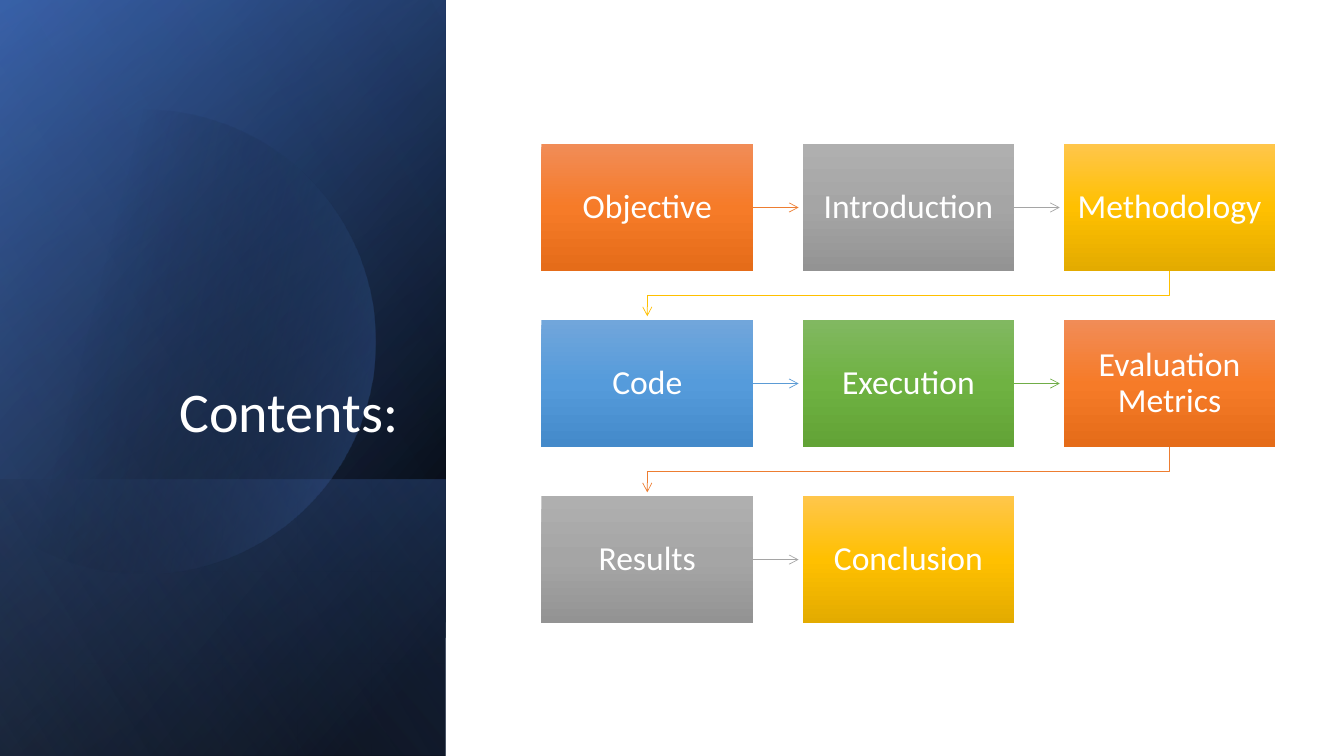
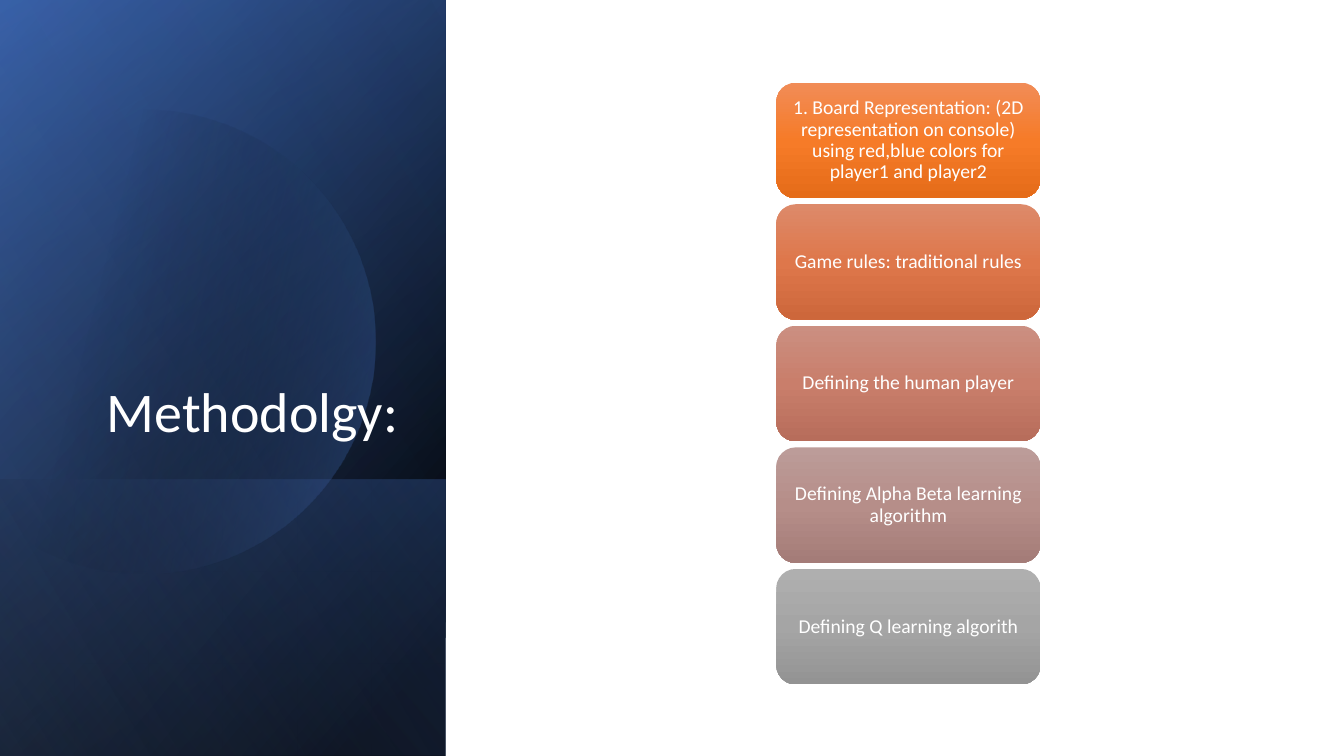
import math
from collections import namedtuple
from dataclasses import dataclass

from lxml import etree
from pptx import Presentation
from pptx import util as u
from pptx.dml.color import RGBColor
from pptx.enum import shapes, text
from pptx.oxml.ns import qn

Box = namedtuple("Box", "left top width height")
Tone = namedtuple("Tone", "top middle bottom line")


@dataclass(frozen=True)
class Theme:
    font: str = "Calibri"
    white: str = "FFFFFF"
    black: str = "000000"
    navy: str = "2F5597"
    blue: str = "4472C4"
    pale_blue: str = "8FAADC"
    title_size: int = 40
    step_size: int = 24
    stack_size: int = 14
    arrow_width: float = 0.5


THEME = Theme()
WIDTH, HEIGHT = 13.33, 7.5
SIDEBAR = Box(0, 0, 4.42, HEIGHT)
FLOW = Box(5.37, 1.43, 7.28, 4.75)
STACK = Box(7.7, 0.82, 2.62, 5.97)

ORANGE = Tone("F18C57", "F67B28", "E56C19", "ED7D31")
GRAY = Tone("AFAFAF", "A5A5A5", "939393", "A5A5A5")
GOLD = Tone("FFC64B", "FFC000", "E3AB00", "FFC000")
SKY = Tone("71A6DB", "559BDB", "448ACA", "5B9BD5")
GREEN = Tone("81B861", "6FB242", "62A336", "70AD47")
RUST = Tone("DD8A6A", "DE774B", "CD673B", "DE774B")
ROSE = Tone("CB8F81", "C97E6B", "B76D5B", "C97E6B")
MAUVE = Tone("BC9C99", "B68E89", "A47C78", "B68E89")

STEPS = [
    ("Objective", ORANGE), ("Introduction", GRAY), ("Methodology", GOLD),
    ("Code", SKY), ("Execution", GREEN), ("Evaluation Metrics", ORANGE),
    ("Results", GRAY), ("Conclusion", GOLD),
]
METHODS = [
    ("1. Board Representation: (2D representation on console) "
     "using red,blue colors for player1 and player2", ORANGE),
    ("Game rules: traditional rules", RUST),
    ("Defining the human player", ROSE),
    ("Defining Alpha Beta learning algorithm", MAUVE),
    ("Defining Q learning algorith", GRAY),
]


def inches(*values):
    return [u.Inches(value) for value in values]


def apply(target, values):
    for name, value in values.items():
        setattr(target, name, value)


def fill_gradient(shape, stops, angle):
    """Fill with (position, colour, opacity) stops, all in percent; angle is clockwise."""
    shape.shadow.inherit = False
    shape.line.fill.background()
    shape.fill.gradient()
    shape.fill.gradient_angle = (360 - angle) % 360
    stop_list = shape.element.spPr.find(qn("a:gradFill")).find(qn("a:gsLst"))
    for old in list(stop_list):
        stop_list.remove(old)
    for position, colour, opacity in stops:
        stop = etree.SubElement(stop_list, qn("a:gs"), pos=str(position * 1000))
        paint = etree.SubElement(stop, qn("a:srgbClr"), val=colour)
        if opacity < 100:
            etree.SubElement(paint, qn("a:alpha"), val=str(opacity * 1000))


def write(shape, words, size, align, frame_format):
    frame = shape.text_frame
    apply(frame, {"word_wrap": True, "auto_size": text.MSO_AUTO_SIZE.NONE, **frame_format})
    para = frame.paragraphs[0]
    apply(para, {"alignment": align, "line_spacing": 0.9})
    span = para.add_run()
    span.text = words
    apply(span.font, {"name": THEME.font, "size": u.Pt(size)})
    span.font.color.rgb = RGBColor.from_string(THEME.white)


# Sidebar with layered gradients, shared by both slides
def add_panel(page, box, stops, angle):
    """Place a mirrored rectangle turned a quarter so that it covers the box."""
    left = box.left + (box.width - box.height) / 2
    top = box.top + (box.height - box.width) / 2
    panel = page.shapes.add_shape(shapes.MSO_SHAPE.RECTANGLE,
                                  *inches(left, top, box.height, box.width))
    panel.rotation = 90
    panel.element.spPr.find(qn("a:xfrm")).set("flipH", "1")
    fill_gradient(panel, stops, angle)


def add_disc(page, box):
    """Draw a circle cut off by the left edge of the box."""
    radius = 0.52 * box.width
    center_x, center_y = box.left + 1.43, box.top + 0.452 * box.height
    limit = math.acos((box.left - center_x) / radius)
    count = 120
    points = []
    for index in range(count + 1):
        angle = limit * (2 * index / count - 1)
        points.append(inches(center_x + radius * math.cos(angle),
                             center_y + radius * math.sin(angle)))
    outline = page.shapes.build_freeform(*points[0], scale=1.0)
    outline.add_line_segments(points[1:], close=True)
    fill_gradient(outline.convert_to_shape(),
                  [(29, THEME.black, 0), (100, THEME.blue, 43)], 14)


def add_sidebar(page, box, title_words):
    lower_height = 2.74
    lower = Box(box.left, box.top + box.height - lower_height, box.width, lower_height)
    add_panel(page, box, [(8, THEME.black, 100), (100, THEME.navy, 100)], 50)
    add_panel(page, box, [(0, THEME.black, 0), (99, THEME.blue, 46)], 30)
    add_panel(page, lower, [(2, THEME.blue, 29), (100, THEME.black, 30)], 130)
    add_disc(page, box)
    add_panel(page, box, [(0, THEME.black, 0), (99, THEME.pale_blue, 11)], 120)

    # Title sits above the panels
    title = page.shapes.title
    place = inches(box.left + 0.64, box.top + 1.84, 3.41, 2.62)
    apply(title, dict(zip(Box._fields, place)))
    write(title, title_words, THEME.title_size, text.PP_ALIGN.RIGHT,
          {"vertical_anchor": text.MSO_ANCHOR.BOTTOM})
    title.element.getparent().append(title.element)


# Blocks and arrows
def add_block(page, kind, box, words, tone, size, inset_x, inset_y):
    block = page.shapes.add_shape(kind, *inches(*box))
    fill_gradient(block, [(0, tone.top, 100), (50, tone.middle, 100),
                          (100, tone.bottom, 100)], 90)
    side, edge = inches(inset_x, inset_y)
    write(block, words, size, text.PP_ALIGN.CENTER, {
        "vertical_anchor": text.MSO_ANCHOR.MIDDLE, "margin_left": side,
        "margin_right": side, "margin_top": edge, "margin_bottom": edge})


def add_arrow(page, points, colour):
    """Draw a straight arrow for two points, a bent one for more."""
    points = [inches(*point) for point in points]
    if len(points) == 2:
        arrow = page.shapes.add_connector(shapes.MSO_CONNECTOR.STRAIGHT,
                                          *points[0], *points[1])
    else:
        outline = page.shapes.build_freeform(*points[0], scale=1.0)
        outline.add_line_segments(points[1:], close=False)
        arrow = outline.convert_to_shape()
        arrow.fill.background()
    arrow.line.color.rgb = RGBColor.from_string(colour)
    arrow.line.width = u.Pt(THEME.arrow_width)
    outline_style = arrow.element.spPr.find(qn("a:ln"))
    etree.SubElement(outline_style, qn("a:tailEnd"), type="arrow")
    etree.SubElement(arrow.element.spPr, qn("a:effectLst"))


def add_flow(page, box, steps, columns=3, gap=0.49):
    rows = math.ceil(len(steps) / columns)
    width = (box.width - gap * (columns - 1)) / columns
    height = (box.height - gap * (rows - 1)) / rows
    reach = 0.92 * gap
    for index, (words, tone) in enumerate(steps):
        row, column = divmod(index, columns)
        cell = Box(box.left + column * (width + gap),
                   box.top + row * (height + gap), width, height)
        right, bottom = cell.left + width, cell.top + height
        if index < len(steps) - 1:
            if column < columns - 1:
                middle = cell.top + height / 2
                route = [(right, middle), (right + reach, middle)]
            else:
                start, end = cell.left + width / 2, box.left + width / 2
                route = [(start, bottom), (start, bottom + gap / 2),
                         (end, bottom + gap / 2), (end, bottom + reach)]
            add_arrow(page, route, tone.line)
        add_block(page, shapes.MSO_SHAPE.RECTANGLE, cell, words, tone,
                  THEME.step_size, 0.1, 0.11)


def add_stack(page, box, items, gap=0.06):
    height = (box.height - gap * (len(items) - 1)) / len(items)
    for index, (words, tone) in enumerate(items):
        cell = Box(box.left, box.top + index * (height + gap), box.width, height)
        add_block(page, shapes.MSO_SHAPE.ROUNDED_RECTANGLE, cell, words, tone,
                  THEME.stack_size, 0.06, 0.03)


def main():
    deck = Presentation()
    deck.slide_width, deck.slide_height = inches(WIDTH, HEIGHT)
    title_only = deck.slide_layouts[5]
    for title_words, add_content, box, items in [
        ("Contents:", add_flow, FLOW, STEPS),
        ("Methodolgy:", add_stack, STACK, METHODS),
    ]:
        page = deck.slides.add_slide(title_only)
        add_sidebar(page, SIDEBAR, title_words)
        add_content(page, box, items)
    deck.save("out.pptx")


if __name__ == "__main__":
    main()
